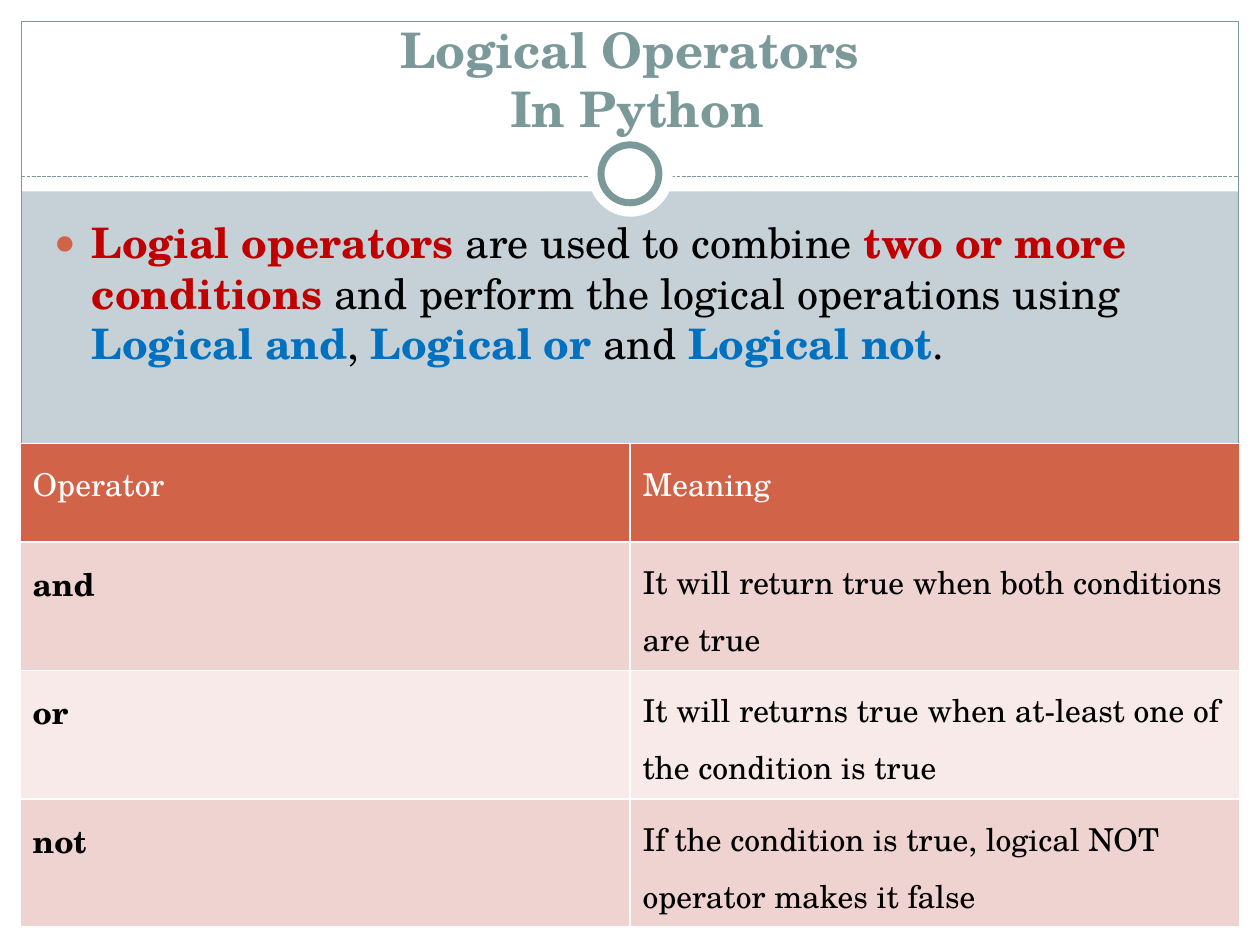
"""Build the slide on logical operators in Python."""
from dataclasses import dataclass

from lxml import etree
from pptx import Presentation
from pptx import util as u
from pptx.dml import color
from pptx.enum import dml, shapes, text
from pptx.oxml import ns


@dataclass(frozen=True)
class Theme:
    font: str = "TeX Gyre Schola"
    backdrop: str = "C5D1D7"
    sage: str = "7C999A"
    white: str = "FFFFFF"
    black: str = "000000"
    red: str = "C00000"
    blue: str = "0070C0"
    accent: str = "D16349"
    row_dark: str = "EED3D0"
    row_light: str = "F7EAE9"
    title_size: int = 28
    body_size: int = 24
    table_size: int = 18


theme = Theme()


def add_run(paragraph, wording, size, ink, bold=False):
    run = paragraph.add_run()
    run.text = wording
    run.font.name = theme.font
    run.font.size = u.Pt(size)
    run.font.bold = bold
    run.font.color.rgb = color.RGBColor.from_string(ink)


def add_xml(parent, tag, **attributes):
    return etree.SubElement(parent, ns.qn(tag), attributes)


deck = Presentation()
deck.slide_width = u.Inches(10)
deck.slide_height = u.Inches(7.5)
slide = deck.slides.add_slide(deck.slide_layouts[1])
slide.background.fill.solid()
slide.background.fill.fore_color.rgb = color.RGBColor.from_string(theme.backdrop)

RECT, OVAL = shapes.MSO_SHAPE.RECTANGLE, shapes.MSO_SHAPE.OVAL
decor = [
    (RECT, (0, 7.33, 10, 0.17), theme.white, 0),
    (RECT, (0, 0, 10, 1.52), theme.white, 0),
    (RECT, (0, 0, 0.17, 7.5), theme.white, 0),
    (RECT, (9.83, 0, 0.17, 7.5), theme.white, 0),
    (RECT, (0.17, 0.17, 9.66, 7.16), None, 0.75),
    (OVAL, (4.67, 1.05, 0.67, 0.67), theme.white, 0),
    (OVAL, (4.77, 1.15, 0.46, 0.46), theme.white, 4),
]
divider = slide.shapes.add_connector(
    shapes.MSO_CONNECTOR.STRAIGHT,
    u.Inches(0.17), u.Inches(1.4), u.Inches(9.83), u.Inches(1.4))
divider.line.color.rgb = color.RGBColor.from_string(theme.sage)
divider.line.width = u.Pt(0.75)
divider.line.dash_style = dml.MSO_LINE.SQUARE_DOT
add_xml(divider.element.spPr, "a:effectLst")

for preset, place, fill, outline in decor:
    if preset == OVAL and not outline:
        slide.shapes.element.append(divider.element)
    part = slide.shapes.add_shape(preset, *map(u.Inches, place))
    part.shadow.inherit = False
    if fill:
        part.fill.solid()
        part.fill.fore_color.rgb = color.RGBColor.from_string(fill)
    else:
        part.fill.background()
    if outline:
        part.line.color.rgb = color.RGBColor.from_string(theme.sage)
        part.line.width = u.Pt(outline)
    else:
        part.line.fill.background()

title, body = slide.placeholders
for holder, place in ((title, (0.39, 0.31, 9.33, 0.83)), (body, (0.33, 1.67, 9.3, 5.31))):
    holder.left, holder.top, holder.width, holder.height = map(u.Inches, place)
    holder.text_frame.auto_size = text.MSO_AUTO_SIZE.NONE
    slide.shapes.element.append(holder.element)

title.text_frame.vertical_anchor = text.MSO_ANCHOR.BOTTOM
heading = title.text_frame.paragraphs[0]
heading.alignment = text.PP_ALIGN.CENTER
add_run(heading, "Logical Operators ", theme.title_size, theme.sage, True)
heading.add_line_break()
add_run(heading, "In Python", theme.title_size, theme.sage, True)

summary = body.text_frame.paragraphs[0]
bullet = summary._p.get_or_add_pPr()
bullet.set("marL", str(u.Inches(0.3)))
bullet.set("indent", str(u.Inches(-0.3)))
add_xml(add_xml(bullet, "a:buClr"), "a:srgbClr", val=theme.accent)
add_xml(bullet, "a:buSzPct", val="85000")
add_xml(bullet, "a:buChar", char="●")
summary.space_before = u.Pt(0)
for wording, ink in (
    ("Logial operators ", theme.red),
    ("are used to combine ", theme.black),
    ("two or more conditions ", theme.red),
    ("and perform the logical operations using ", theme.black),
    ("Logical and", theme.blue),
    (", ", theme.black),
    ("Logical or ", theme.blue),
    ("and ", theme.black),
    ("Logical not", theme.blue),
    (".", theme.black),
):
    add_run(summary, wording, theme.body_size, ink, ink != theme.black)

meanings = [
    ("Operator", "Meaning"),
    ("and", "It will return true when both conditions are true"),
    ("or", "It will returns true when at-least one of the condition is true"),
    ("not", "If the condition is true, logical NOT operator makes it false"),
]
operators = slide.shapes.add_table(
    len(meanings), 2, u.Inches(0.16), u.Inches(3.52), u.Inches(9.68), u.Inches(3.84)).table
for row, entry in enumerate(meanings):
    header = row == 0
    operators.rows[row].height = u.Inches(0.78 if header else 1.02)
    band = theme.accent if header else theme.row_dark if row % 2 else theme.row_light
    for column, wording in enumerate(entry):
        cell = operators.cell(row, column)
        properties = cell._tc.get_or_add_tcPr()
        for side in "LRTB":
            edge = add_xml(properties, f"a:ln{side}", w=str(u.Pt(1)))
            add_xml(add_xml(edge, "a:solidFill"), "a:srgbClr", val=theme.white)
        cell.fill.solid()
        cell.fill.fore_color.rgb = color.RGBColor.from_string(band)
        paragraph = cell.text_frame.paragraphs[0]
        paragraph.line_spacing = 1.23
        add_run(paragraph, wording, theme.table_size,
                theme.white if header else theme.black, column == 0 and not header)

deck.save("out.pptx")
